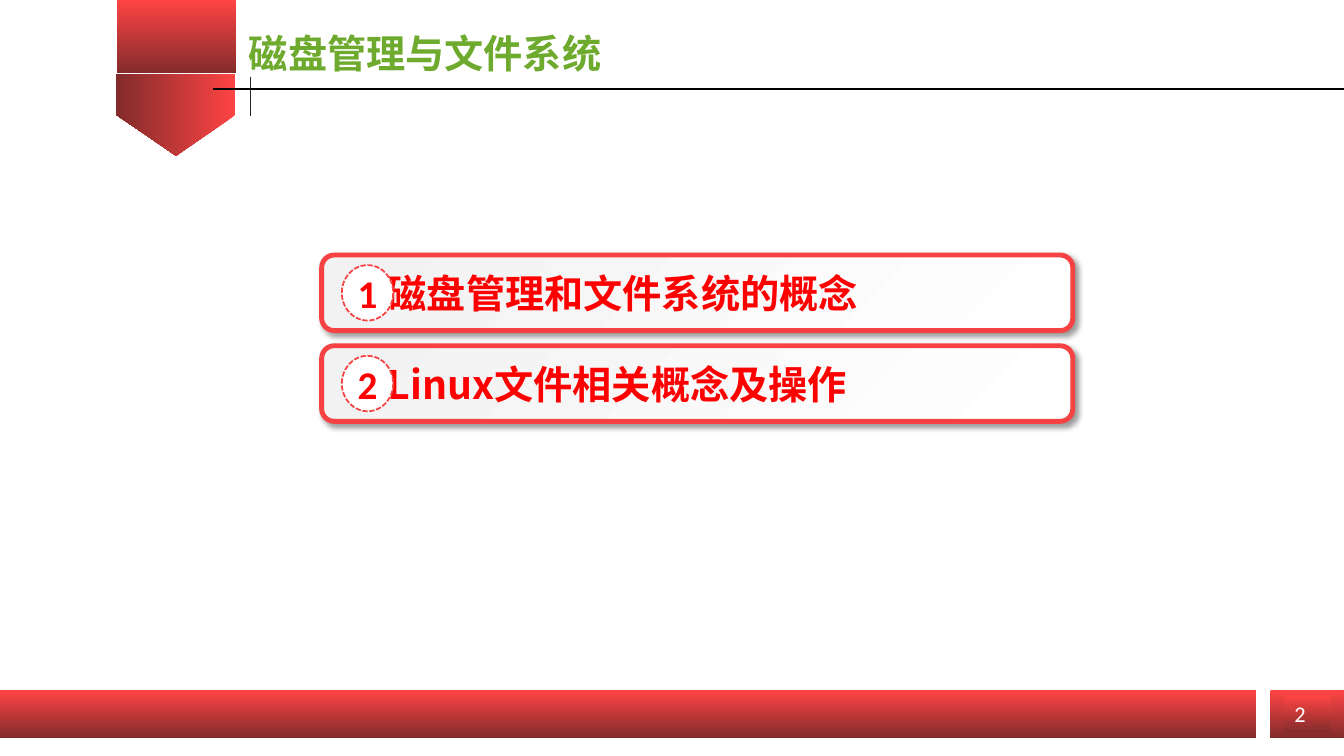
from dataclasses import dataclass

from lxml import etree
from pptx import Presentation
from pptx import util as u
from pptx.dml.color import RGBColor
from pptx.enum import dml, shapes, text
from pptx.oxml.ns import qn

SHAPE = shapes.MSO_SHAPE


@dataclass(frozen=True)
class Theme:
    banner: tuple = ("FE4444", "832B2B")
    panel: tuple = ("F2F2F2", "FFFFFF")
    border: str = "F64242"
    title: str = "6EAA2E"
    accent: str = "FF0000"
    white: str = "FFFFFF"
    rule: str = "000000"
    tick: str = "262626"
    heading_size: int = 28
    number_size: int = 16
    latin_font: str = "Calibri"
    chinese_font: str = "Noto Sans CJK SC"


class SlideBuilder:
    def __init__(self, slide, theme):
        self.slide = slide
        self.theme = theme

    def shape(self, kind, box, fill, angle=90, parent=None):
        """Add a borderless shape; a pair of colours as fill makes a gradient."""
        target = parent or self.slide
        shape = target.shapes.add_shape(kind, *map(u.Inches, box))
        shape.shadow.inherit = False
        shape.line.fill.background()
        if isinstance(fill, str):
            shape.fill.solid()
            shape.fill.fore_color.rgb = RGBColor.from_string(fill)
        else:
            shape.fill.gradient()
            shape.fill.gradient_angle = 360 - angle  # counted anticlockwise
            for stop, color in zip(shape.fill.gradient_stops, fill):
                stop.color.rgb = RGBColor.from_string(color)
        return shape

    def border(self, shape, width, dash=None):
        shape.line.color.rgb = RGBColor.from_string(self.theme.border)
        shape.line.width = u.Pt(width)
        if dash:
            shape.line.dash_style = dash

    def drop_shadow(self, shape):
        effects = shape._element.spPr.find(qn("a:effectLst"))
        shadow = etree.SubElement(
            effects, qn("a:outerShdw"), blurRad=str(u.Pt(4)), dist=str(u.Pt(3)),
            dir=str(45 * 60000), algn="tl", rotWithShape="0")
        color = etree.SubElement(shadow, qn("a:srgbClr"), val="000000")
        etree.SubElement(color, qn("a:alpha"), val="40000")

    def label(self, shape, words, font, size, color, bold=True, left=0.1, top=0.05,
              align=text.PP_ALIGN.LEFT, anchor=text.MSO_ANCHOR.MIDDLE, wrap=True):
        frame = shape.text_frame
        frame.text = words
        frame.word_wrap = wrap
        frame.vertical_anchor = anchor
        frame.margin_left = u.Inches(left)
        frame.margin_top = u.Inches(top)
        paragraph = frame.paragraphs[0]
        paragraph.alignment = align
        run = paragraph.runs[0]
        run.font.name = font
        run.font.size = u.Pt(size)
        run.font.bold = bold
        run.font.color.rgb = RGBColor.from_string(color)
        latin = run._r.rPr.find(qn("a:latin"))
        latin.addnext(latin.makeelement(qn("a:ea"), {"typeface": font}))

    def title(self, words, box):
        title = self.slide.shapes.add_textbox(*map(u.Inches, box))
        self.label(title, words, self.theme.chinese_font, self.theme.heading_size,
                   self.theme.title, top=0, anchor=text.MSO_ANCHOR.TOP)

    def line(self, start, end, color, width):
        line = self.slide.shapes.add_connector(
            shapes.MSO_CONNECTOR.STRAIGHT, *map(u.Inches, start + end))
        line.line.color.rgb = RGBColor.from_string(color)
        line.line.width = u.Pt(width)
        etree.SubElement(line._element.spPr, qn("a:effectLst"))

    def agenda_item(self, number, words, left, top):
        theme = self.theme
        group = self.slide.shapes.add_group_shape()
        panel = self.shape(SHAPE.ROUNDED_RECTANGLE, (left, top, 7.45, 0.75),
                           theme.panel, angle=45, parent=group)
        self.border(panel, 3.5)
        self.drop_shadow(panel)
        self.label(panel, words, theme.chinese_font, theme.heading_size,
                   theme.accent, left=0.62)
        badge = self.shape(SHAPE.OVAL, (left + 0.2, top + 0.1, 0.51, 0.55),
                           theme.white, parent=group)
        self.border(badge, 1.25, dml.MSO_LINE.SQUARE_DOT)
        self.label(badge, str(number), theme.latin_font, theme.heading_size,
                   theme.accent, align=text.PP_ALIGN.CENTER, wrap=False)


def main():
    presentation = Presentation()
    presentation.slide_width = u.Inches(13.33)
    presentation.slide_height = u.Inches(7.5)
    slide = presentation.slides.add_slide(presentation.slide_layouts[6])
    theme = Theme()
    builder = SlideBuilder(slide, theme)

    ribbon_tip = builder.shape(SHAPE.PENTAGON, (1.34, 0.55, 0.81, 1.18), theme.banner)
    ribbon_tip.rotation = 90
    for box in ((1.16, 0, 1.18, 0.73), (0, 6.85, 12.46, 0.47), (12.6, 6.85, 0.74, 0.47)):
        builder.shape(SHAPE.RECTANGLE, box, theme.banner)
    page_number = builder.shape(SHAPE.RECTANGLE, (12.74, 6.9, 0.46, 0.37), theme.banner)
    builder.label(page_number, "2", theme.latin_font, theme.number_size, theme.white,
                  bold=False, anchor=text.MSO_ANCHOR.TOP, wrap=False)

    builder.line((2.48, 0.76), (2.48, 1.15), theme.tick, 0.75)
    builder.line((2.11, 0.88), (13.33, 0.88), theme.rule, 1.25)
    builder.title("磁盘管理与文件系统", (2.37, 0.29, 3.71, 0.57))

    topics = ("磁盘管理和文件系统的概念", "Linux文件相关概念及操作")
    for index, topic in enumerate(topics):
        builder.agenda_item(index + 1, topic, 3.19, 2.53 + 0.9 * index)

    presentation.save("out.pptx")


if __name__ == "__main__":
    main()
